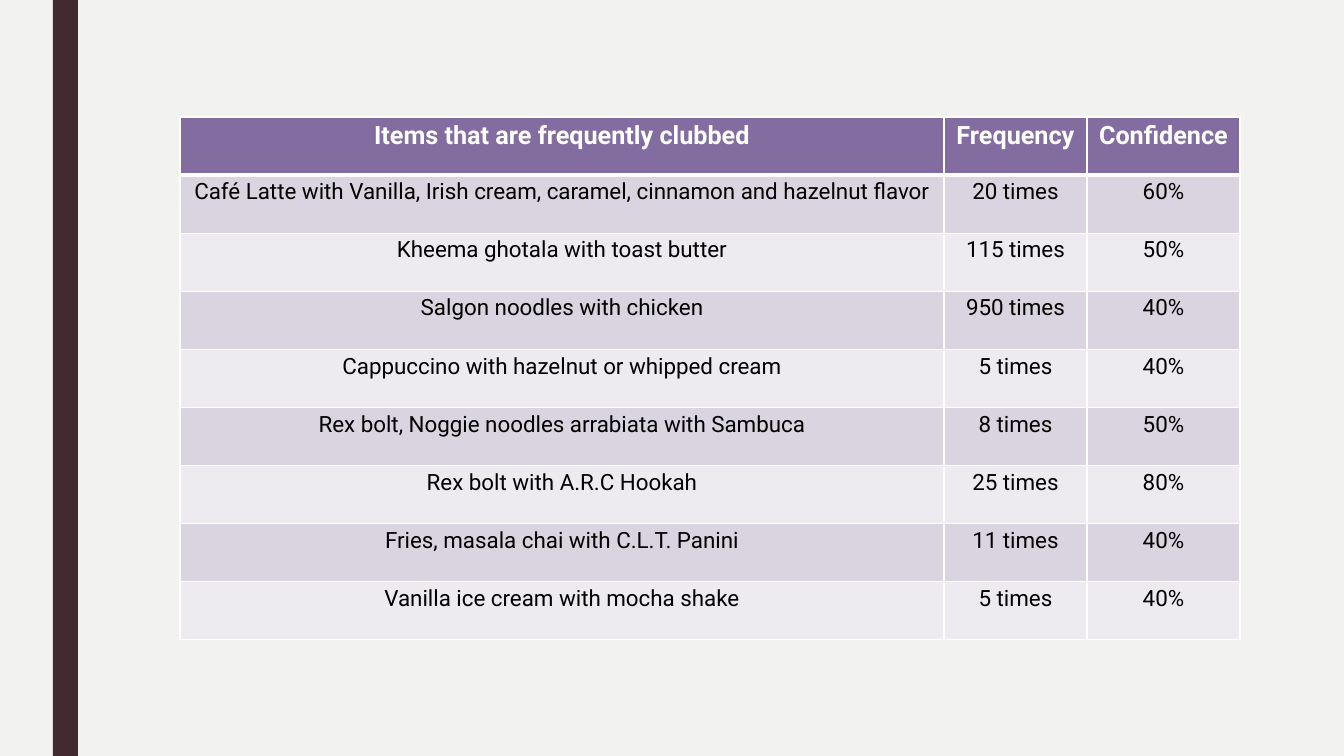
"""Build a slide with a table of items that are often ordered together."""
from dataclasses import dataclass

import lxml.etree
import pptx
import pptx.dml.color
import pptx.enum.shapes
import pptx.enum.text
import pptx.oxml.ns
import pptx.util

EMU_PER_PX = 914400 / 100.8


@dataclass(frozen=True)
class Theme:
    font: str = "Roboto"
    background: str = "F2F2F0"
    side_bar: str = "432A30"
    border: str = "FFFFFF"
    header_fill: str = "836C9F"
    header_text: str = "FFFFFF"
    band_fills: tuple[str, str] = ("D9D4DF", "EDEBF0")
    body_text: str = "000000"
    header_size: int = 18
    body_size: int = 16
    thin_line: int = 1
    thick_line: int = 3


@dataclass(frozen=True)
class Area:
    left: int
    top: int
    width: int
    height: int


@dataclass(frozen=True)
class Combination:
    items: str
    frequency: str
    confidence: str


@dataclass(frozen=True)
class CellStyle:
    fill: str
    color: str
    size: int
    bold: bool
    top_line: int
    bottom_line: int


THEME = Theme()
PAGE = Area(0, 0, 1344, 756)
SIDE_BAR = Area(53, 0, 25, 756)
COLUMN_WIDTHS = (764, 143, 153)
TABLE = Area(180, 117, sum(COLUMN_WIDTHS), 523)

HEADER = Combination("Items that are frequently clubbed", "Frequency", "Confidence")
COMBINATIONS = (
    Combination("Café Latte with Vanilla, Irish cream, caramel, cinnamon and hazelnut flavor",
                "20 times", "60%"),
    Combination("Kheema ghotala with toast butter", "115 times", "50%"),
    Combination("Salgon noodles with chicken", "950 times", "40%"),
    Combination("Cappuccino with hazelnut or whipped cream", "5 times", "40%"),
    Combination("Rex bolt, Noggie noodles arrabiata with Sambuca", "8 times", "50%"),
    Combination("Rex bolt with A.R.C Hookah", "25 times", "80%"),
    Combination("Fries, masala chai with C.L.T. Panini", "11 times", "40%"),
    Combination("Vanilla ice cream with mocha shake", "5 times", "40%"),
)


def px(length: int) -> pptx.util.Emu:
    return pptx.util.Emu(round(length * EMU_PER_PX))


def rgb(color: str) -> pptx.dml.color.RGBColor:
    return pptx.dml.color.RGBColor.from_string(color)


def row_style(row: int) -> CellStyle:
    if row == 0:
        return CellStyle(THEME.header_fill, THEME.header_text, THEME.header_size, True,
                         THEME.thin_line, THEME.thick_line)
    top_line = THEME.thick_line if row == 1 else THEME.thin_line
    return CellStyle(THEME.band_fills[(row - 1) % 2], THEME.body_text, THEME.body_size, False,
                     top_line, THEME.thin_line)


def draw_borders(cell, style: CellStyle) -> None:
    properties = cell._tc.get_or_add_tcPr()
    widths = {"a:lnL": THEME.thin_line, "a:lnR": THEME.thin_line,
              "a:lnT": style.top_line, "a:lnB": style.bottom_line}
    for position, (tag, width) in enumerate(widths.items()):
        line = lxml.etree.Element(pptx.oxml.ns.qn(tag), w=str(pptx.util.Pt(width)))
        fill = lxml.etree.SubElement(line, pptx.oxml.ns.qn("a:solidFill"))
        lxml.etree.SubElement(fill, pptx.oxml.ns.qn("a:srgbClr"), val=THEME.border)
        properties.insert(position, line)


def fill_cell(cell, text: str, style: CellStyle) -> None:
    cell.fill.solid()
    cell.fill.fore_color.rgb = rgb(style.fill)
    cell.margin_left = cell.margin_right = px(9)
    cell.margin_top = cell.margin_bottom = px(4)
    draw_borders(cell, style)
    para = cell.text_frame.paragraphs[0]
    para.alignment = pptx.enum.text.PP_ALIGN.CENTER
    span = para.add_run()
    span.text = text
    span.font.name = THEME.font
    span.font.size = pptx.util.Pt(style.size)
    span.font.bold = style.bold
    span.font.color.rgb = rgb(style.color)


def draw_side_bar(page, area: Area) -> None:
    bar = page.shapes.add_shape(pptx.enum.shapes.MSO_SHAPE.RECTANGLE, px(area.left),
                                px(area.top), px(area.width), px(area.height))
    bar.shadow.inherit = False
    bar.fill.solid()
    bar.fill.fore_color.rgb = rgb(THEME.side_bar)
    bar.line.fill.background()


def draw_table(page, area: Area, combinations: tuple[Combination, ...]) -> None:
    table = page.shapes.add_table(len(combinations), len(COLUMN_WIDTHS), px(area.left),
                                  px(area.top), px(area.width), px(area.height)).table
    for column, width in zip(table.columns, COLUMN_WIDTHS):
        column.width = px(width)
    for row, combination in enumerate(combinations):
        texts = (combination.items, combination.frequency, combination.confidence)
        for column, text in enumerate(texts):
            fill_cell(table.cell(row, column), text, row_style(row))


def main() -> None:
    deck = pptx.Presentation()
    deck.slide_width = px(PAGE.width)
    deck.slide_height = px(PAGE.height)
    page = deck.slides.add_slide(deck.slide_layouts[6])
    page.background.fill.solid()
    page.background.fill.fore_color.rgb = rgb(THEME.background)
    draw_side_bar(page, SIDE_BAR)
    draw_table(page, TABLE, (HEADER, *COMBINATIONS))
    deck.save("out.pptx")


if __name__ == "__main__":
    main()
